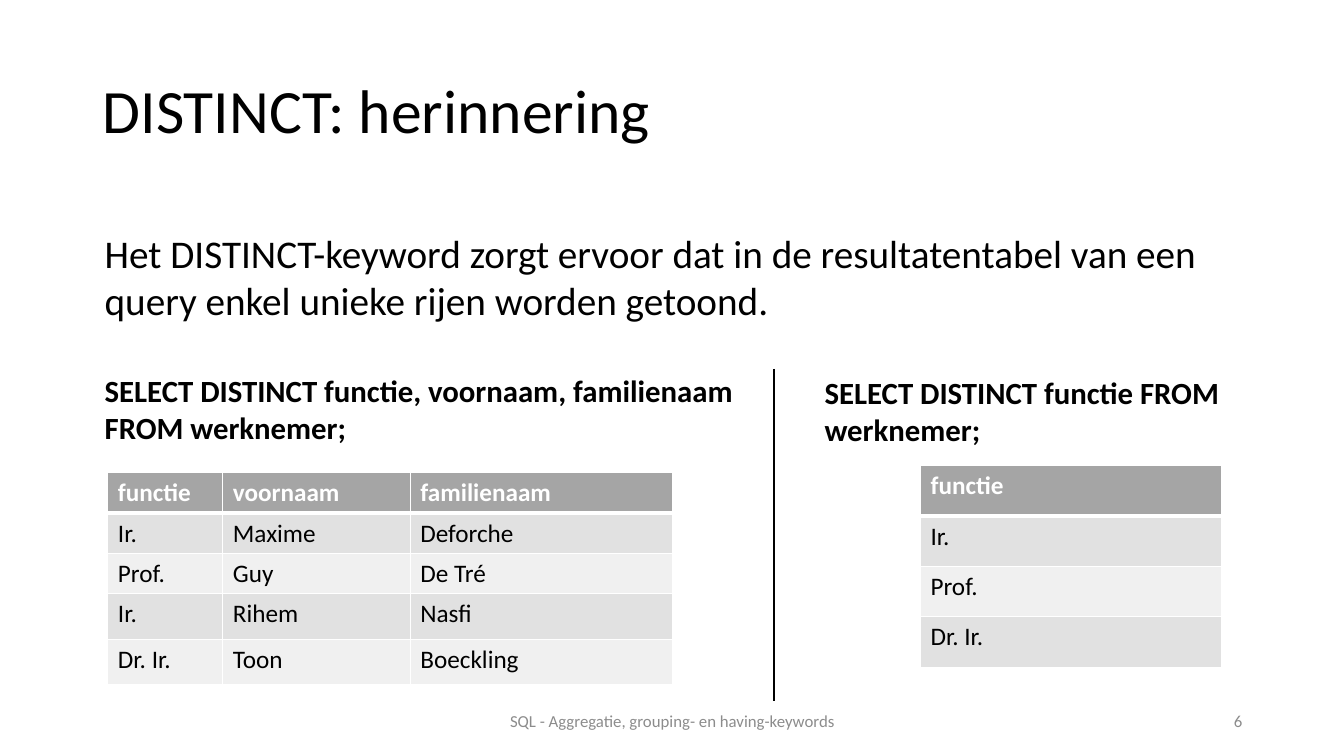
from lxml import etree
from pptx import Presentation
from pptx.dml.color import RGBColor
from pptx.enum.shapes import MSO_CONNECTOR
from pptx.enum.text import MSO_ANCHOR, PP_ALIGN
from pptx.oxml.ns import qn
from pptx.util import Inches, Pt

STRAIGHT = MSO_CONNECTOR.STRAIGHT
TOP, MIDDLE = MSO_ANCHOR.TOP, MSO_ANCHOR.MIDDLE
LEFT, CENTER, RIGHT = PP_ALIGN.LEFT, PP_ALIGN.CENTER, PP_ALIGN.RIGHT


def color(value):
    """Turn a hex string into a colour."""
    return RGBColor.from_string(value)


class SlideBuilder:
    """Hold the style and the current slide."""

    font = "Calibri"
    black, white, gray = "000000", "FFFFFF", "8C8C8C"
    header_fill = "A5A5A5"
    band_fills = ("E1E1E1", "F0F0F0")

    def __init__(self, deck):
        """Add a blank page to the deck."""
        self.page = deck.slides.add_slide(deck.slide_layouts[6])
        self.page.background.fill.solid()
        self.page.background.fill.fore_color.rgb = color(self.white)

    def span(self, para, content, size, ink, bold=False):
        """Add one styled run to a paragraph."""
        run = para.add_run()
        run.text = content
        run.font.name = self.font
        run.font.size = Pt(size)
        run.font.bold = bold
        run.font.color.rgb = color(ink)

    def text(self, place, lines, ink=black, anchor=TOP, align=LEFT, spacing=1.0):
        """Add a text box from lines of content, size, bold and space before."""
        box = self.page.shapes.add_textbox(*map(Inches, place))
        frame = box.text_frame
        frame.word_wrap = True
        frame.vertical_anchor = anchor
        for index, (content, size, bold, before) in enumerate(lines):
            para = frame.paragraphs[0] if index == 0 else frame.add_paragraph()
            para.alignment = align
            para.line_spacing = spacing
            if before:
                para.space_before = Pt(before)
            self.span(para, content, size, ink, bold)

    def borders(self, cell, top, bottom):
        """Give a cell white borders, with top and bottom widths in points."""
        properties = cell._tc.get_or_add_tcPr()
        widths = {"a:lnL": 1, "a:lnR": 1, "a:lnT": top, "a:lnB": bottom}
        for index, (tag, width) in enumerate(widths.items()):
            edge = etree.Element(qn(tag), w=str(Pt(width)))
            fill = etree.SubElement(edge, qn("a:solidFill"))
            etree.SubElement(fill, qn("a:srgbClr"), val=self.white)
            properties.insert(index, edge)

    def table(self, left, top, widths, heights, rows):
        """Add a table with a dark header and banded rows."""
        place = (left, top, sum(widths), sum(heights))
        grid = self.page.shapes.add_table(len(rows), len(widths), *map(Inches, place)).table
        for column, width in zip(grid.columns, widths):
            column.width = Inches(width)
        for index, (row, height, values) in enumerate(zip(grid.rows, heights, rows)):
            row.height = Inches(height)
            header = index == 0
            for cell, value in zip(row.cells, values):
                cell.fill.solid()
                fill = self.header_fill if header else self.band_fills[(index - 1) % 2]
                cell.fill.fore_color.rgb = color(fill)
                self.borders(cell, 3 if index == 1 else 1, 3 if header else 1)
                ink = self.white if header else self.black
                self.span(cell.text_frame.paragraphs[0], value, 18, ink, header)

    def line(self, start, end, width):
        """Add a straight black line."""
        connector = self.page.shapes.add_connector(STRAIGHT, *map(Inches, start + end))
        connector.line.color.rgb = color(self.black)
        connector.line.width = Pt(width)
        etree.SubElement(connector._element.spPr, qn("a:effectLst"))


def main():
    """Build and save the deck."""
    deck = Presentation()
    deck.slide_width, deck.slide_height = Inches(13.33), Inches(7.5)
    slide = SlideBuilder(deck)

    slide.text((0.92, 0.4, 11.5, 1.45), [("DISTINCT: herinnering", 44, False, 0)],
               anchor=MIDDLE, spacing=0.9)
    slide.text((0.94, 2.23, 11.97, 2.4), [
        ("Het DISTINCT-keyword zorgt ervoor dat in de resultatentabel van een "
         "query enkel unieke rijen worden getoond.", 28, False, 0),
        ("SELECT DISTINCT functie, voornaam, familienaam", 22, True, 34),
        ("FROM werknemer;", 22, True, 0),
    ])
    slide.table(1.07, 4.69, [1.14, 1.86, 2.6], [0.4, 0.4, 0.4, 0.45, 0.45], [
        ("functie", "voornaam", "familienaam"),
        ("Ir.", "Maxime", "Deforche"),
        ("Prof.", "Guy", "De Tré"),
        ("Ir.", "Rihem", "Nasfi"),
        ("Dr. Ir.", "Toon", "Boeckling"),
    ])
    slide.table(9.13, 4.62, [2.99], [0.5] * 4,
                [("functie",), ("Ir.",), ("Prof.",), ("Dr. Ir.",)])
    slide.text((8.08, 3.66, 5.2, 0.9),
               [("SELECT DISTINCT functie FROM werknemer;", 22, True, 0)])
    slide.line((7.68, 3.66), (7.68, 6.95), 1.5)
    slide.text((9.42, 6.95, 3, 0.4), [("6", 12, False, 0)],
               slide.gray, MIDDLE, RIGHT)
    slide.text((4.42, 6.95, 4.5, 0.4),
               [("SQL - Aggregatie, grouping- en having-keywords", 12, False, 0)],
               slide.gray, MIDDLE, CENTER)
    deck.save("out.pptx")


if __name__ == "__main__":
    main()
